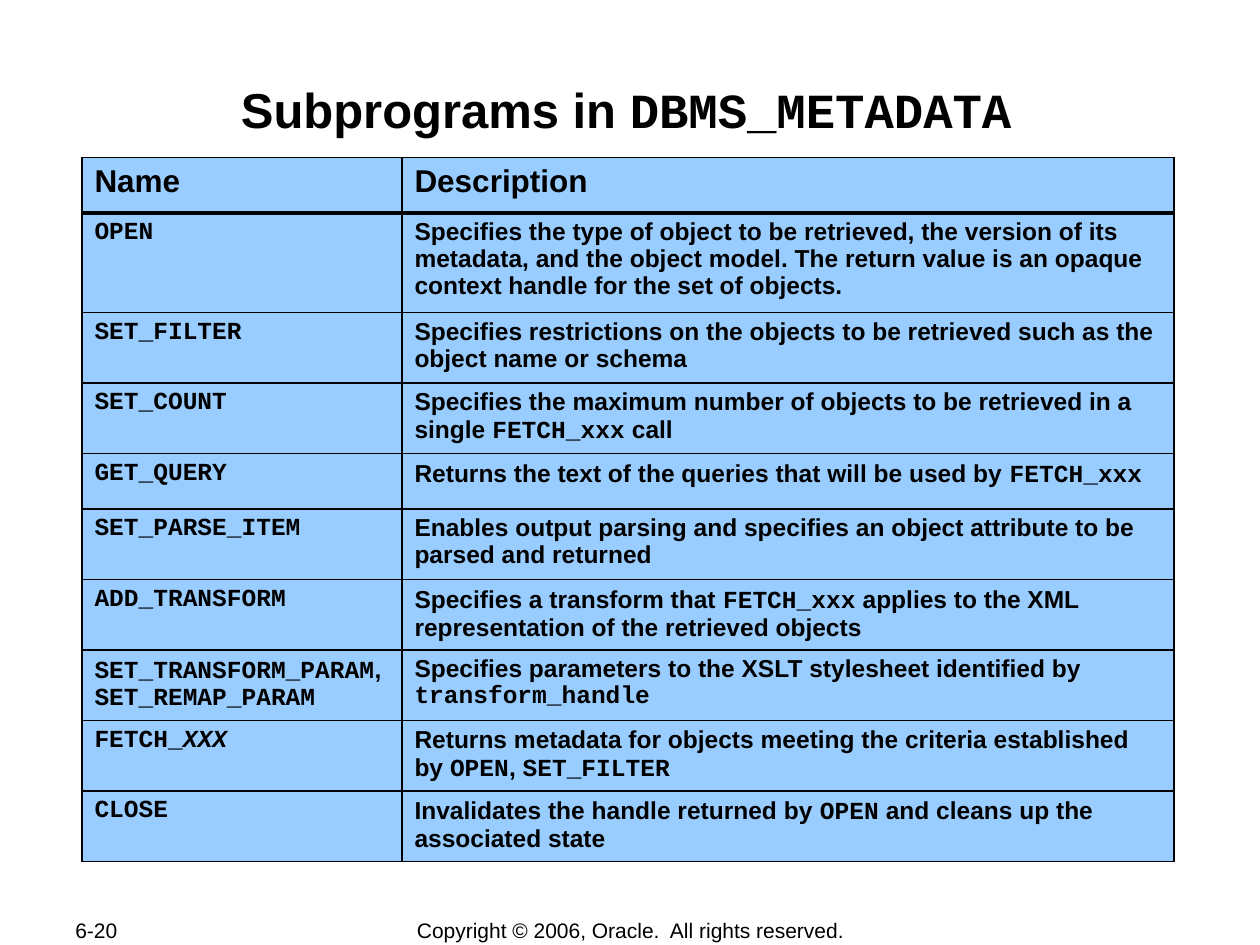
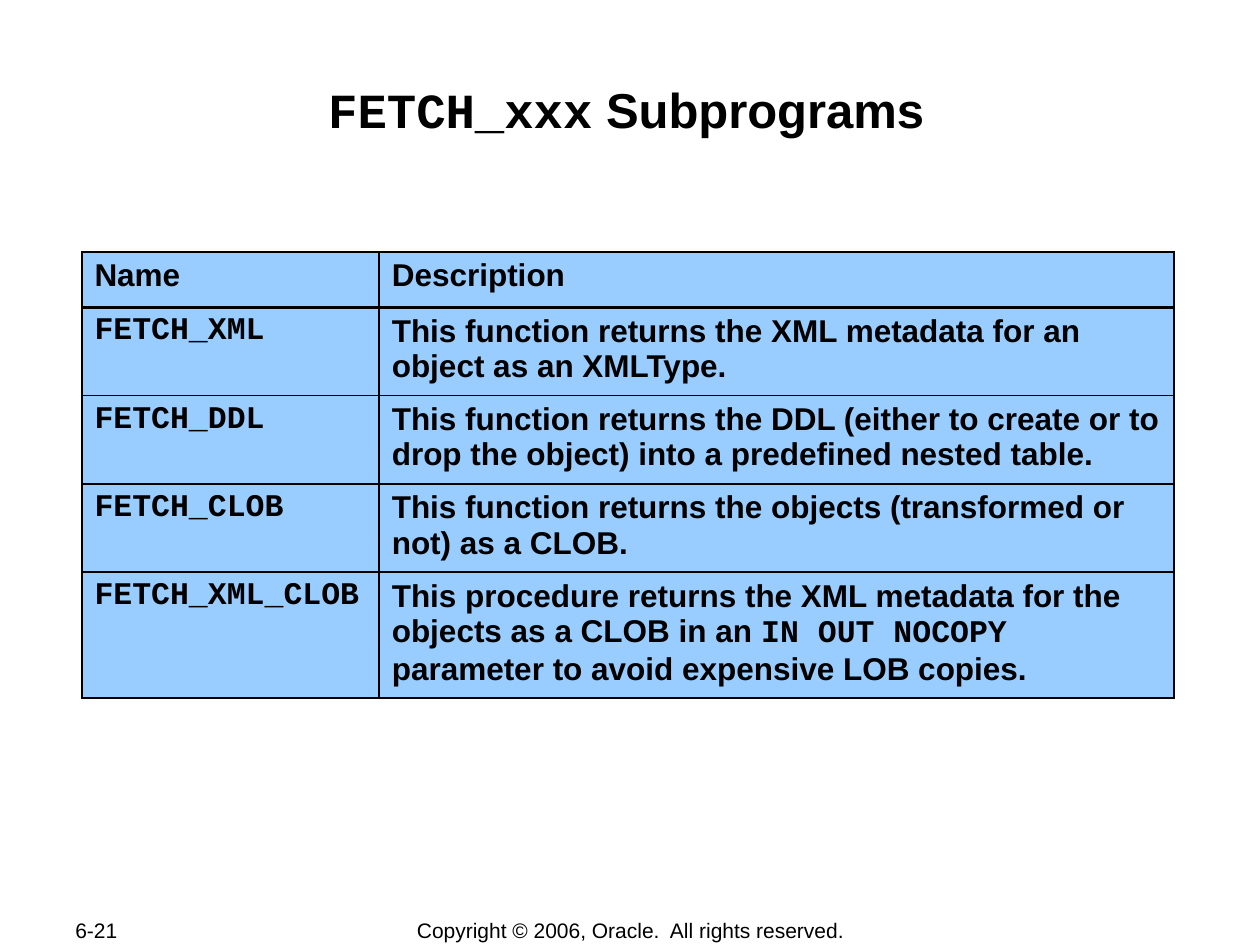
from lxml.etree import SubElement
from pptx import Presentation
from pptx.dml.color import RGBColor
from pptx.enum.text import MSO_ANCHOR, PP_ALIGN
from pptx.oxml.ns import qn
from pptx.util import Inches, Pt

BLACK = RGBColor(0x00, 0x00, 0x00)
CELL_BLUE = RGBColor(0x99, 0xCC, 0xFF)
SANS, MONO = "Arial", "Courier New"
COPYRIGHT = "Copyright © 2006, Oracle.  All rights reserved."
THIN, THICK = 1.08, 2.21
HEADER = ("Name", "Description")

# In all texts, `backticks` mark code and *asterisks* inside it mark italics
SUBPROGRAMS = [
    ("`OPEN`", "Specifies the type of object to be retrieved, the version of its "
     "metadata, and the object model. The return value is an opaque context "
     "handle for the set of objects."),
    ("`SET_FILTER`", "Specifies restrictions on the objects to be retrieved such as "
     "the object name or schema"),
    ("`SET_COUNT`", "Specifies the maximum number of objects to be retrieved in a "
     "single `FETCH_xxx` call"),
    ("`GET_QUERY`", "Returns the text of the queries that will be used by `FETCH_xxx`"),
    ("`SET_PARSE_ITEM`", "Enables output parsing and specifies an object attribute to "
     "be parsed and returned"),
    ("`ADD_TRANSFORM`", "Specifies a transform that `FETCH_xxx` applies to the XML "
     "representation of the retrieved objects"),
    ("`SET_TRANSFORM_PARAM`,`SET_REMAP_PARAM`", "Specifies parameters to the XSLT "
     "stylesheet identified by `transform_handle`"),
    ("`FETCH_*XXX*`", "Returns metadata for objects meeting the criteria established "
     "by `OPEN`, `SET_FILTER`"),
    ("`CLOSE`", "Invalidates the handle returned by `OPEN` and cleans up the "
     "associated state"),
]
FETCH_SUBPROGRAMS = [
    ("`FETCH_XML`", "This function returns the XML metadata for an object as an XMLType."),
    ("`FETCH_DDL`", "This function returns the DDL (either to create or to drop the "
     "object) into a predefined nested table."),
    ("`FETCH_CLOB`", "This function returns the objects (transformed or not) as a CLOB."),
    ("`FETCH_XML_CLOB`", "This procedure returns the XML metadata for the objects as a "
     "CLOB in an `IN OUT NOCOPY` parameter to avoid expensive LOB copies."),
]


def write(p, text, size, bold=True):
    """Fill a paragraph, switching font at backticks and slant at asterisks."""
    p.font.size, p.font.bold = Pt(size), bold
    p.font.color.rgb = BLACK
    for i, part in enumerate(text.split("`")):
        for j, piece in enumerate(part.split("*")):
            if piece:
                r = p.add_run()
                r.text = piece
                r.font.name = MONO if i % 2 else SANS
                if j % 2:
                    r.font.italic = True


def add_title(s, text):
    sp = s.shapes.title
    sp.left, sp.top, sp.width, sp.height = map(Inches, (0.97, 0.62, 8, 0.92))
    tf = sp.text_frame
    tf.word_wrap = True
    tf.vertical_anchor = MSO_ANCHOR.TOP
    tf.margin_left = tf.margin_right = tf.margin_top = tf.margin_bottom = Inches(0.01)
    p = tf.paragraphs[0]
    p.alignment = PP_ALIGN.CENTER
    write(p, text, 28)


def add_footer_text(s, text, left, width, align):
    sp = s.shapes.add_textbox(Inches(left), Inches(7.28), Inches(width), Inches(0.21))
    tf = sp.text_frame
    tf.word_wrap = True
    tf.vertical_anchor = MSO_ANCHOR.MIDDLE
    p = tf.paragraphs[0]
    p.alignment = align
    write(p, text, 12, bold=False)


def set_borders(cell, top, bottom):
    tcPr = cell._tc.get_or_add_tcPr()
    for tag, width in (("lnL", THIN), ("lnR", THIN), ("lnT", top), ("lnB", bottom)):
        ln = SubElement(tcPr, qn(f"a:{tag}"), w=str(Pt(width)))
        fill = SubElement(ln, qn("a:solidFill"))
        SubElement(fill, qn("a:srgbClr"), val=str(BLACK))


def add_name_table(s, top, col_widths, row_heights, rows, size, spacing):
    frame = s.shapes.add_table(len(rows) + 1, 2, Inches(0.65), Inches(top),
                               Inches(sum(col_widths)), Inches(sum(row_heights)))
    table = frame.table
    for col, width in zip(table.columns, col_widths):
        col.width = Inches(width)
    for row, height in zip(table.rows, row_heights):
        row.height = Inches(height)
    for i, texts in enumerate([HEADER] + rows):
        for cell, text in zip(table.rows[i].cells, texts):
            # Borders go before the fill in the cell properties
            set_borders(cell, THICK if i == 1 else THIN, THICK if i == 0 else THIN)
            cell.fill.solid()
            cell.fill.fore_color.rgb = CELL_BLUE
            p = cell.text_frame.paragraphs[0]
            if i:
                p.line_spacing = spacing
            write(p, text, size if i else 18)


def add_slide(prs, title, page):
    s = prs.slides.add_slide(prs.slide_layouts[5])
    add_title(s, title)
    add_footer_text(s, page, 0.5, 1.06, PP_ALIGN.LEFT)
    add_footer_text(s, COPYRIGHT, 2.76, 4.49, PP_ALIGN.CENTER)
    return s


def main():
    prs = Presentation()
    prs.slide_width, prs.slide_height = Inches(10), Inches(7.5)

    # All subprograms
    s = add_slide(prs, "Subprograms in `DBMS_METADATA`", "6-20")
    heights = [0.44, 0.79, 0.56, 0.56, 0.44] + [0.56] * 5
    add_name_table(s, 1.25, (2.54, 6.13), heights, SUBPROGRAMS, 14, 0.98)

    # The fetch family
    s = add_slide(prs, "`FETCH_xxx` Subprograms", "6-21")
    heights = [0.44] + [0.7] * 3 + [1]
    add_name_table(s, 2, (2.36, 6.31), heights, FETCH_SUBPROGRAMS, 18, 1.0)

    prs.save("out.pptx")


if __name__ == "__main__":
    main()
